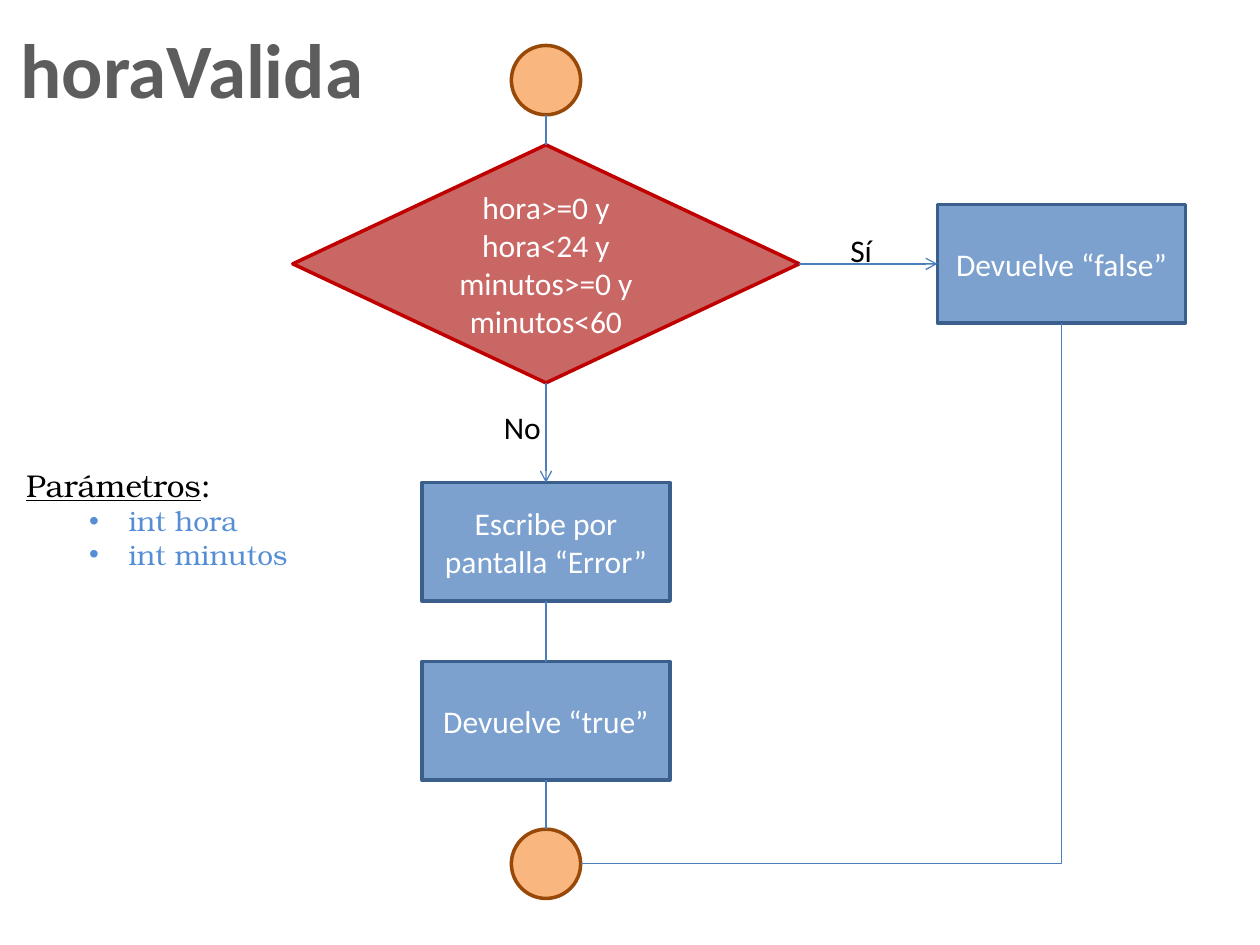
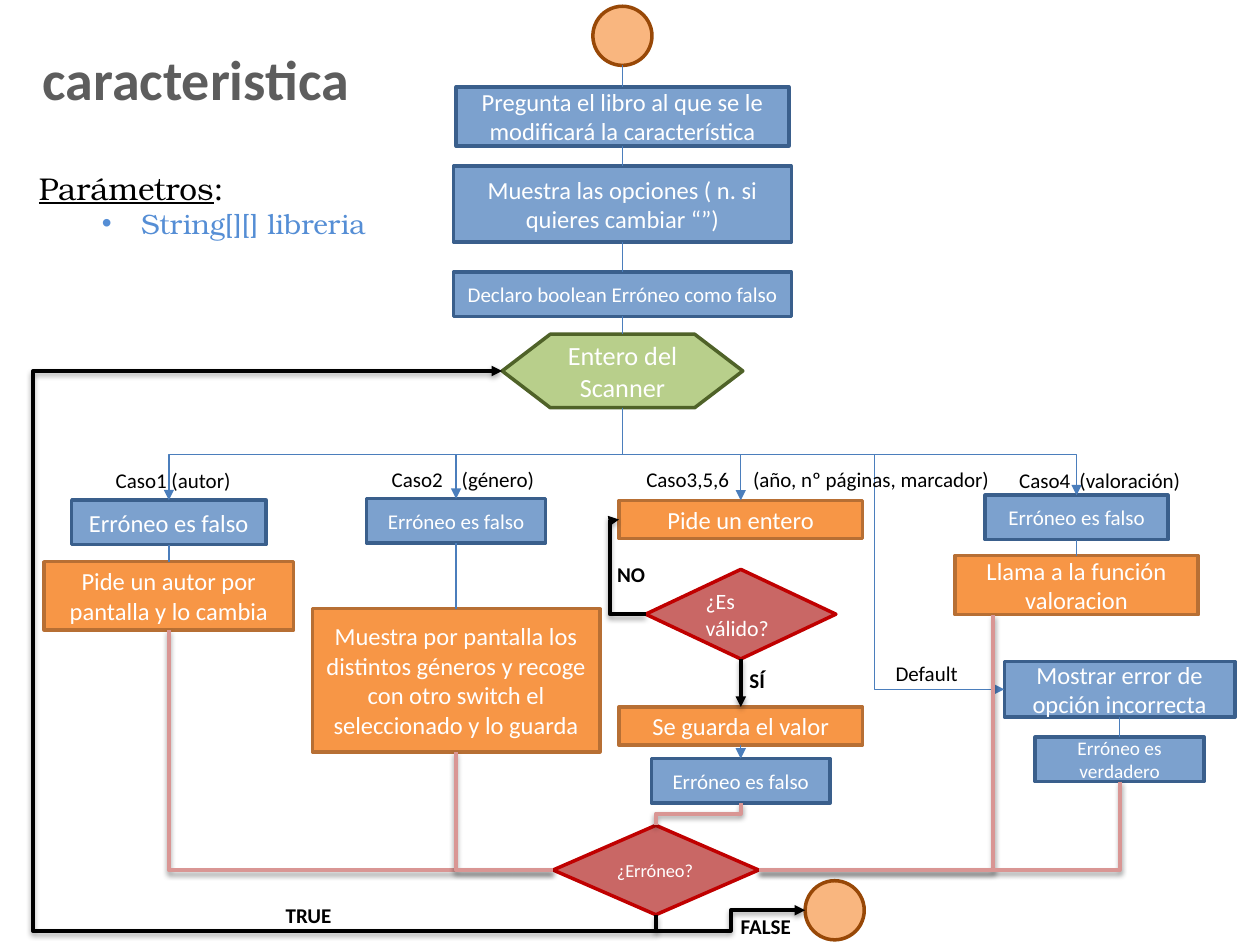
from collections import namedtuple

from lxml import etree
from pptx import Presentation
from pptx.dml.color import RGBColor
from pptx.enum.shapes import MSO_CONNECTOR, MSO_SHAPE
from pptx.enum.text import MSO_ANCHOR, MSO_AUTO_SIZE, PP_ALIGN
from pptx.oxml.ns import qn
from pptx.util import Pt

STRAIGHT, ELBOW = MSO_CONNECTOR.STRAIGHT, MSO_CONNECTOR.ELBOW
PROCESS = MSO_SHAPE.FLOWCHART_PROCESS
DECISION = MSO_SHAPE.FLOWCHART_DECISION
PREPARATION = MSO_SHAPE.FLOWCHART_PREPARATION
TERMINAL = MSO_SHAPE.FLOWCHART_CONNECTOR
LEFT_ALIGNED, CENTERED = PP_ALIGN.LEFT, PP_ALIGN.CENTER
MIDDLE = MSO_ANCHOR.MIDDLE
FIT_TEXT = MSO_AUTO_SIZE.SHAPE_TO_FIT_TEXT
TOP, LEFT, BOTTOM, RIGHT = range(4)

WHITE = RGBColor(0xFF, 0xFF, 0xFF)
BLACK = RGBColor(0x00, 0x00, 0x00)
TITLE_GRAY = RGBColor(0x5D, 0x5D, 0x5D)
PARAMETER_BLUE = RGBColor(0x55, 0x8E, 0xD5)
LINK_BLUE = RGBColor(0x4B, 0x7E, 0xBC)
RETURN_PINK = RGBColor(0xD9, 0x96, 0x94)

Look = namedtuple("Look", "kind fill outline")
STEP = Look(PROCESS, RGBColor(0x7C, 0xA1, 0xCE), RGBColor(0x3A, 0x5F, 0x8C))
ACTION = Look(PROCESS, RGBColor(0xF7, 0x96, 0x46), RGBColor(0xB7, 0x6F, 0x34))
QUESTION = Look(DECISION, RGBColor(0xC9, 0x67, 0x65), RGBColor(0xC0, 0x00, 0x00))
INPUT = Look(PREPARATION, RGBColor(0xB8, 0xCF, 0x8B), RGBColor(0x4F, 0x62, 0x28))
ENDPOINT = Look(TERMINAL, RGBColor(0xF9, 0xB6, 0x7F), RGBColor(0x98, 0x48, 0x07))

Stroke = namedtuple("Stroke", "color width head shadow")
PLAIN = Stroke(LINK_BLUE, 0.75, None, False)
OPEN_ARROW = Stroke(LINK_BLUE, 0.75, "arrow", False)
ARROW = Stroke(LINK_BLUE, 0.75, "triangle", False)
LOOP = Stroke(BLACK, 2, "triangle", True)
RETURN = Stroke(RETURN_PINK, 2.25, None, True)

End = namedtuple("End", "x y side shape")


def end(shape, side, x=None):
    left, top = shape.left.pt, shape.top.pt
    width, height = shape.width.pt, shape.height.pt
    across = {LEFT: 0, RIGHT: width}.get(side, width / 2)
    down = {TOP: 0, BOTTOM: height}.get(side, height / 2)
    joinable = x is None and shape.auto_shape_type != TERMINAL
    return End(left + across if x is None else x, top + down, side, shape if joinable else None)


class Flowchart:
    font = "Calibri"
    parameter_font = "TeX Gyre Bonum"

    def __init__(self, presentation):
        self.presentation = presentation
        self.slide = None

    def new_slide(self):
        self.slide = self.presentation.slides.add_slide(self.presentation.slide_layouts[6])

    def style(self, paragraph, size, color, bold=False, name=None):
        font = paragraph.font
        font.name, font.size, font.bold = name or self.font, Pt(size), bold
        font.color.rgb = color

    def node(self, look, center, top, width, height, text="", size=14, align=CENTERED):
        shape = self.slide.shapes.add_shape(
            look.kind, Pt(center - width / 2), Pt(top), Pt(width), Pt(height))
        shape.shadow.inherit = False
        shape.fill.solid()
        shape.fill.fore_color.rgb = look.fill
        shape.line.color.rgb = look.outline
        shape.line.width = Pt(2)
        if text:
            frame = shape.text_frame
            frame.word_wrap, frame.vertical_anchor = True, MIDDLE
            frame.text = text
            frame.paragraphs[0].alignment = align
            self.style(frame.paragraphs[0], size, WHITE)
        return shape

    def text_frame(self, left, top, width, height, wrap=True):
        box = self.slide.shapes.add_textbox(Pt(left), Pt(top), Pt(width), Pt(height))
        box.text_frame.word_wrap = wrap
        box.text_frame.auto_size = FIT_TEXT
        return box.text_frame

    def title(self, text, left, top, height, size):
        frame = self.text_frame(left, top, 212.4, height, wrap=False)
        frame.text = text
        frame.paragraphs[0].alignment = CENTERED
        self.style(frame.paragraphs[0], size, TITLE_GRAY, bold=True)

    def label(self, text, left, top, width, size=12, bold=False, tab=None):
        frame = self.text_frame(left, top, width, size * 1.2 + 7.2)
        frame.text = text
        paragraph = frame.paragraphs[0]
        if tab:
            tabs = etree.SubElement(paragraph._p.get_or_add_pPr(), qn("a:tabLst"))
            etree.SubElement(tabs, qn("a:tab"), pos=str(Pt(tab)), algn="l")
        self.style(paragraph, size, BLACK, bold)

    def parameters(self, names, left, top, width, height):
        frame = self.text_frame(left, top, width, height, wrap=False)
        heading = frame.paragraphs[0]
        self.style(heading, 18, BLACK, name=self.parameter_font)
        for text, underlined in (("Parámetros", True), (":", False)):
            run = heading.add_run()
            run.text = text
            run.font.underline = underlined
        for name in names:
            paragraph = frame.add_paragraph()
            paragraph.text = name
            paragraph.level = 1
            properties = paragraph._p.get_or_add_pPr()
            properties.set("marL", str(Pt(58.5)))
            properties.set("indent", str(Pt(-22.5)))
            etree.SubElement(properties, qn("a:buFont"), typeface="Arial")
            etree.SubElement(properties, qn("a:buChar"), char="•")
            self.style(paragraph, 16, PARAMETER_BLUE, name=self.parameter_font)

    def paint(self, connector, stroke):
        connector.line.color.rgb = stroke.color
        connector.line.width = Pt(stroke.width)
        if stroke.head:
            etree.SubElement(connector.line._get_or_add_ln(), qn("a:tailEnd"), type=stroke.head)
        effects = etree.SubElement(connector._element.spPr, qn("a:effectLst"))
        if stroke.shadow:
            shadow = etree.SubElement(effects, qn("a:outerShdw"), blurRad=str(Pt(3.1)),
                                      dist=str(Pt(1.6)), dir="5400000", rotWithShape="0")
            color = etree.SubElement(shadow, qn("a:srgbClr"), val=str(BLACK))
            etree.SubElement(color, qn("a:alpha"), val="38000")

    def link(self, start, finish, stroke=PLAIN):
        connector = self.slide.shapes.add_connector(
            STRAIGHT, Pt(start.x), Pt(start.y), Pt(finish.x), Pt(finish.y))
        if start.shape is not None:
            connector.begin_connect(start.shape, start.side)
        if finish.shape is not None:
            connector.end_connect(finish.shape, finish.side)
        self.paint(connector, stroke)

    def bent_link(self, start, finish, stroke, *bends):
        vertical = start.side in (TOP, BOTTOM)
        run, rise = finish.x - start.x, finish.y - start.y
        center_x, center_y = start.x + run / 2, start.y + rise / 2
        across, down = (rise, -run) if vertical else (run, rise)
        connector = self.slide.shapes.add_connector(
            ELBOW, Pt(center_x - across / 2), Pt(center_y - down / 2),
            Pt(center_x + across / 2), Pt(center_y + down / 2))
        properties = connector._element.spPr
        if vertical:
            properties.find(qn("a:xfrm")).set("rot", "5400000")
        geometry = properties.find(qn("a:prstGeom"))
        geometry.set("prst", f"bentConnector{len(bends) + 2}")
        axes = [(start.x, run), (start.y, rise)]
        if vertical:
            axes.reverse()
        for number, (bend, (origin, length)) in enumerate(zip(bends, axes), 1):
            ratio = round((bend - origin) / length * 100000)
            etree.SubElement(geometry.find(qn("a:avLst")), qn("a:gd"),
                             name=f"adj{number}", fmla=f"val {ratio}")
        self.paint(connector, stroke)

    def chain(self, *shapes):
        for upper, lower in zip(shapes, shapes[1:]):
            self.link(end(upper, BOTTOM), end(lower, TOP))


def draw_valid_time(chart):
    chart.new_slide()
    axis, box = 312, (141.8, 67.7)
    beginning = chart.node(ENDPOINT, axis, 26, 39.6, 39.6)
    check = chart.node(QUESTION, axis, 82.8, 289.4, 136,
                       "hora>=0 y hora<24 y minutos>=0 y minutos<60", 18)
    return_false = chart.node(STEP, 606.6, 116.95, *box, "Devuelve “false”", 18)
    show_error = chart.node(STEP, axis, 275.8, *box, "Escribe por pantalla “Error”", 18)
    return_true = chart.node(STEP, axis, 378, *box, "Devuelve “true”", 18)
    finish = chart.node(ENDPOINT, axis, 473.8, 39.6, 39.6)

    chart.chain(beginning, check)
    chart.link(end(check, RIGHT), end(return_false, LEFT), OPEN_ARROW)
    chart.link(end(check, BOTTOM), end(show_error, TOP), OPEN_ARROW)
    chart.chain(show_error, return_true, finish)
    chart.bent_link(end(return_false, BOTTOM), end(finish, RIGHT), PLAIN)

    chart.label("Sí", 478.8, 128.2, 28, 18)
    chart.label("No", 280.8, 229.7, 39.6, 18)
    chart.title("horaValida", 3.6, 8.6, 60.5, 44)
    chart.parameters(["int hora", "int minutos"], 7.9, 262.8, 166.3, 67.7)


def draw_feature(chart):
    chart.new_slide()
    axis, author, genre, number, rating, default = 355.7, 96.5, 260.6, 423.3, 615.2, 639.8
    branch_level, loop_level = 259.8, 532
    beginning = chart.node(ENDPOINT, axis, 3.6, 33.8, 33.8)
    ask_book = chart.node(STEP, axis, 49.7, 190, 33.8,
                          "Pregunta el libro al que se le modificará la característica")
    show_options = chart.node(STEP, axis, 95, 193, 43.4,
                              "Muestra las opciones ( n. si quieres cambiar “”)")
    declare = chart.node(STEP, axis, 155.5, 193, 25.3, "Declaro boolean Erróneo como falso", 12)
    scanner = chart.node(INPUT, axis, 191, 137.5, 42, "Entero del Scanner", 15)

    author_ok = chart.node(STEP, author, 285.8, 111, 25.4, "Erróneo es falso")
    ask_author = chart.node(ACTION, author, 321, 142.6, 39, "Pide un autor por pantalla y lo cambia")
    genre_ok = chart.node(STEP, genre, 285, 102.2, 25.4, "Erróneo es falso", 12)
    ask_genre = chart.node(
        ACTION, genre, 347.8, 164.2, 81.8,
        "Muestra por pantalla los distintos géneros y recoge con otro switch el seleccionado y lo guarda")
    ask_number = chart.node(ACTION, number, 286, 139, 21.8, "Pide un entero")
    is_valid = chart.node(QUESTION, number, 325.4, 108.7, 51.2, "¿Es válido?", 12.5, LEFT_ALIGNED)
    save_number = chart.node(ACTION, number, 404, 139, 21.8, "Se guarda el valor")
    number_ok = chart.node(STEP, number, 433.5, 102.2, 25.4, "Erróneo es falso", 12)
    rating_ok = chart.node(STEP, rating, 283, 104.4, 25.4, "Erróneo es falso", 12)
    call_rating = chart.node(ACTION, rating, 317.5, 139, 33.8, "Llama a la función valoracion")
    show_error = chart.node(STEP, default, 378, 131.8, 31.8, "Mostrar error de opción incorrecta")
    failed = chart.node(STEP, default, 421.2, 96.5, 25.4, "Erróneo es verdadero", 11)
    is_wrong = chart.node(QUESTION, 374.8, 471.6, 117.4, 51.1, "¿Erróneo?", 10.5, LEFT_ALIGNED)
    finish = chart.node(ENDPOINT, 477, 503.3, 33.8, 33.8)

    chart.chain(beginning, ask_book, show_options, declare, scanner)
    for steps in ((author_ok, ask_author), (genre_ok, ask_genre),
                  (rating_ok, call_rating), (show_error, failed)):
        chart.chain(*steps)
    for case in (author_ok, genre_ok, ask_number, rating_ok):
        chart.bent_link(end(scanner, BOTTOM), end(case, TOP), ARROW, branch_level)
    chart.bent_link(End(axis, branch_level, RIGHT, None), end(show_error, LEFT), ARROW, 500)
    chart.link(end(save_number, BOTTOM), end(number_ok, TOP), ARROW)

    for source, side in ((end(ask_author, BOTTOM), LEFT), (end(ask_genre, BOTTOM), LEFT),
                         (end(call_rating, BOTTOM, 567.4), RIGHT), (end(failed, BOTTOM), RIGHT)):
        chart.bent_link(source, end(is_wrong, side), RETURN)
    chart.bent_link(end(number_ok, BOTTOM), end(is_wrong, TOP), RETURN, 465)

    chart.bent_link(end(is_wrong, BOTTOM), end(scanner, LEFT), LOOP, loop_level, 18.7)
    chart.bent_link(End(374.8, loop_level, RIGHT, None), end(finish, LEFT), LOOP, 417.6)
    chart.bent_link(end(is_valid, LEFT), end(ask_number, LEFT), LOOP, 348.5)
    chart.link(end(is_valid, BOTTOM), end(save_number, TOP), LOOP)

    for text, left, top, width, tab in (
            ("Caso1 (autor)", 59, 263.5, 87, None),
            ("Caso2\t(género)", 216.7, 262.8, 101, 40),
            ("Caso3,5,6\t(año, nº páginas, marcador)", 362.2, 262.8, 217.4, 61),
            ("Caso4\t(valoración)", 575.3, 263.5, 117.4, 34.5),
            ("Default", 504.7, 373.7, 67.7, None)):
        chart.label(text, left, top, width, tab=tab)
    for text, left, top in (("TRUE", 156.2, 512), ("NO", 345.6, 317.5),
                            ("SÍ", 421.2, 378), ("FALSE", 416.2, 518.4)):
        chart.label(text, left, top, 44, bold=True)
    chart.title("caracteristica", 5.8, 21.6, 46, 32)
    chart.parameters(["String[][] libreria"], 15.1, 92.9, 202.3, 48.2)


def main():
    presentation = Presentation()
    presentation.slide_width, presentation.slide_height = Pt(720), Pt(540)
    chart = Flowchart(presentation)
    draw_valid_time(chart)
    draw_feature(chart)
    presentation.save("out.pptx")


if __name__ == "__main__":
    main()
